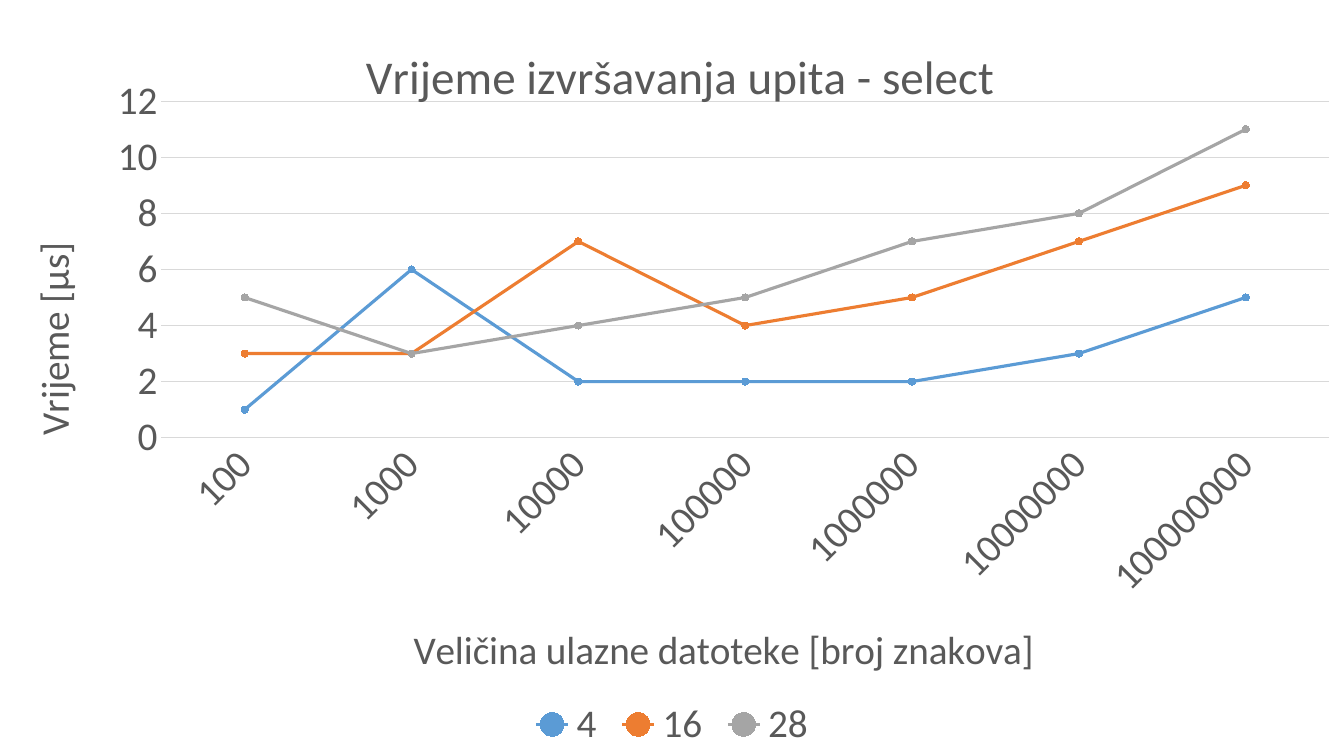
"""Build a slide with a line chart of select query times by input size."""
from lxml import etree
from pptx import Presentation
from pptx.chart.data import CategoryChartData
from pptx.dml.color import RGBColor
from pptx.enum.chart import XL_CHART_TYPE, XL_LEGEND_POSITION, XL_MARKER_STYLE, XL_TICK_MARK
from pptx.oxml import parse_xml
from pptx.oxml.ns import nsdecls, qn
from pptx.util import Inches, Pt

LINE_MARKERS = XL_CHART_TYPE.LINE_MARKERS
BOTTOM = XL_LEGEND_POSITION.BOTTOM
CIRCLE = XL_MARKER_STYLE.CIRCLE
NO_TICK = XL_TICK_MARK.NONE

COLORS = {"text": "595959", "grid": "D9D9D9", "paper": "FFFFFF",
          "4": "5B9BD5", "16": "ED7D31", "28": "A5A5A5"}
BACKGROUND = [(0, "F2F2F2"), (74, "F2F2F2"), (74, "D9D9D9"), (100, "BFBFBF")]
CATEGORIES = [str(10 ** n) for n in range(2, 9)]
SERIES = {"4": (1, 6, 2, 2, 2, 3, 5),
          "16": (3, 3, 7, 4, 5, 7, 9),
          "28": (5, 3, 4, 5, 7, 8, 11)}


class SlideBuilder:
    """Hold the style and current slide, and add styled elements."""

    font = "Calibri"
    size = 28

    def __init__(self, prs):
        self.prs = prs
        self.s = prs.slides.add_slide(prs.slide_layouts[6])

    def color(self, name):
        return RGBColor.from_string(COLORS[name])

    def style_font(self, font, size=None):
        font.name = self.font
        font.size = Pt(size or self.size)
        font.bold = False
        font.color.rgb = self.color("text")

    def style_line(self, line, name, width):
        line.color.rgb = self.color(name)
        line.width = Pt(width)

    def background(self, stops):
        fill = self.s.background.fill
        fill.gradient()
        fill.gradient_angle = 270
        stop_list = self.s.background._cSld.find(".//" + qn("a:gsLst"))
        for gs in list(stop_list):
            stop_list.remove(gs)
        for pos, value in stops:
            gs = etree.SubElement(stop_list, qn("a:gs"), pos=str(pos * 1000))
            etree.SubElement(gs, qn("a:srgbClr"), val=value)

    def title(self, owner, text, size=None):
        tf = owner.text_frame
        r = tf.paragraphs[0].add_run()
        r.text = text
        self.style_font(r.font, size)
        return tf

    def layout(self, parent, index, **shares):
        old = parent.find(qn("c:layout"))
        if old is not None:
            parent.remove(old)
        layout = etree.Element(qn("c:layout"))
        manual = etree.SubElement(layout, qn("c:manualLayout"))
        for tag, value in shares.items():
            etree.SubElement(manual, qn("c:" + tag), val=str(value))
        parent.insert(index, layout)

    def axis(self, axis, text, rotation=None):
        axis.major_tick_mark = axis.minor_tick_mark = NO_TICK
        self.style_font(axis.tick_labels.font)
        tf = self.title(axis.axis_title, text)
        if rotation:
            tf._txBody.bodyPr.set("rot", str(rotation * 60000))

    def chart(self, categories, series):
        data = CategoryChartData(number_format="0")
        data.categories = categories
        for name, values in series.items():
            data.add_series(name, values)
        chart = self.s.shapes.add_chart(
            LINE_MARKERS, 0, 0, self.prs.slide_width, self.prs.slide_height, data).chart
        self.style_font(chart.font)
        space = chart._chartSpace
        space.find(qn("c:chart")).addnext(parse_xml(
            f'<c:spPr {nsdecls("c", "a")}><a:solidFill><a:srgbClr val="{COLORS["paper"]}"/>'
            '</a:solidFill><a:ln><a:noFill/></a:ln></c:spPr>'))
        chart.has_legend = True
        chart.legend.position = BOTTOM
        chart.legend.include_in_layout = False
        self.style_font(chart.legend.font)
        for sr in chart.plots[0].series:
            sr.smooth = False
            self.style_line(sr.format.line, sr.name, 2.25)
            sr.marker.style = CIRCLE
            sr.marker.size = 5
            sr.marker.format.fill.solid()
            sr.marker.format.fill.fore_color.rgb = self.color(sr.name)
            self.style_line(sr.marker.format.line, sr.name, 0.75)
        self.layout(space.find(".//" + qn("c:plotArea")), 0, layoutTarget="inner",
                    xMode="edge", yMode="edge", x=0.12, y=0.134, w=0.869, h=0.445)
        return chart


def main():
    prs = Presentation()
    prs.slide_width, prs.slide_height = Inches(13.33), Inches(7.5)
    slide = SlideBuilder(prs)
    slide.background(BACKGROUND)
    chart = slide.chart(CATEGORIES, SERIES)

    slide.title(chart.chart_title, "Vrijeme izvršavanja upita - select", 33.6)
    slide.layout(chart.chart_title._element, 1, xMode="edge", yMode="edge", x=0.266, y=0.047)

    sizes = chart.category_axis
    slide.axis(sizes, "Veličina ulazne datoteke [broj znakova]")
    slide.style_line(sizes.format.line, "grid", 0.75)
    sizes._element.find(qn("c:txPr")).find(qn("a:bodyPr")).set("rot", str(-45 * 60000))

    times = chart.value_axis
    slide.axis(times, "Vrijeme [μs]", -90)
    times.minimum_scale, times.maximum_scale, times.major_unit = 0, 12, 2
    times.tick_labels.number_format = "0"
    times.tick_labels.number_format_is_linked = False
    times.format.line.fill.background()
    slide.style_line(times.major_gridlines.format.line, "grid", 0.75)

    prs.save("out.pptx")


if __name__ == "__main__":
    main()
